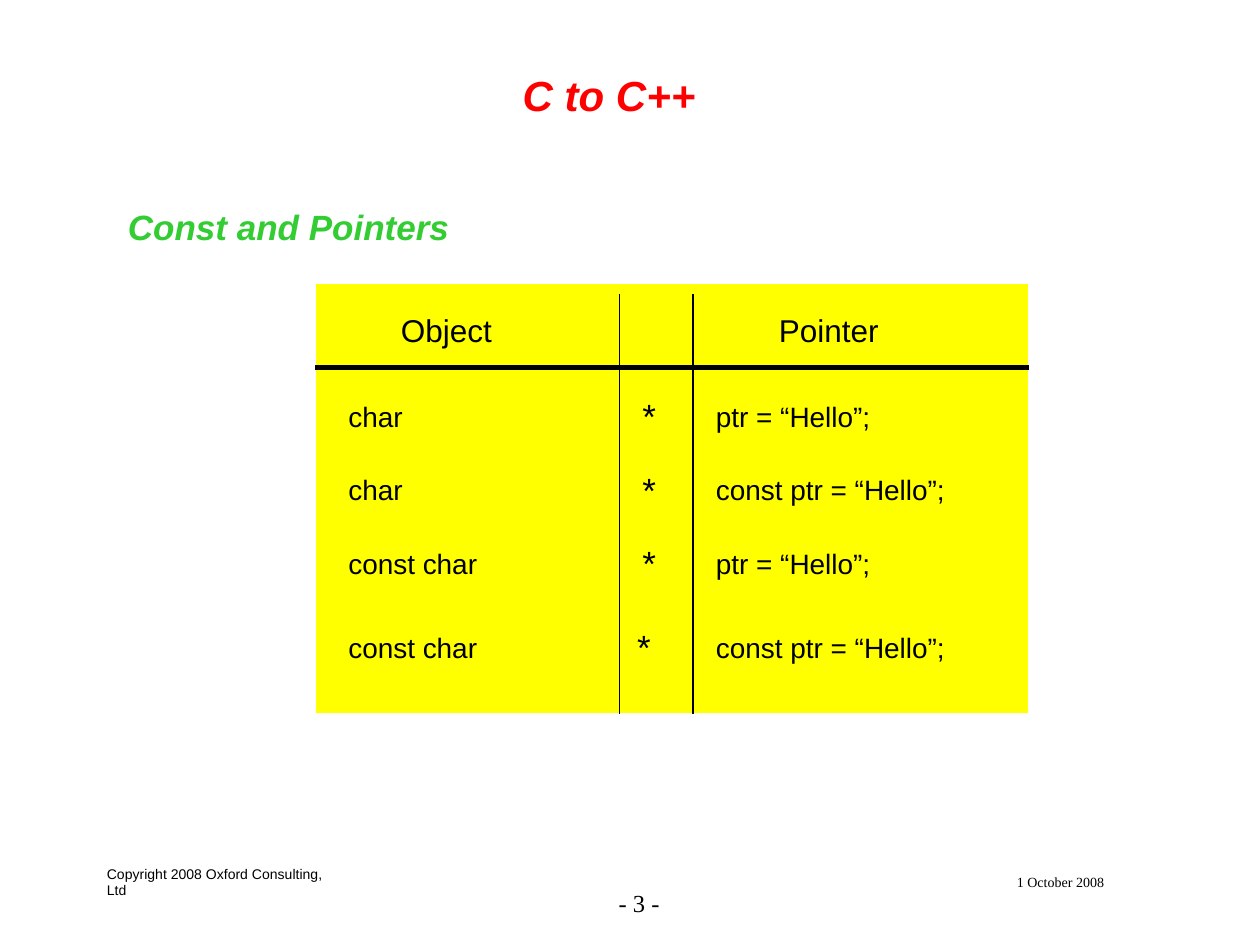
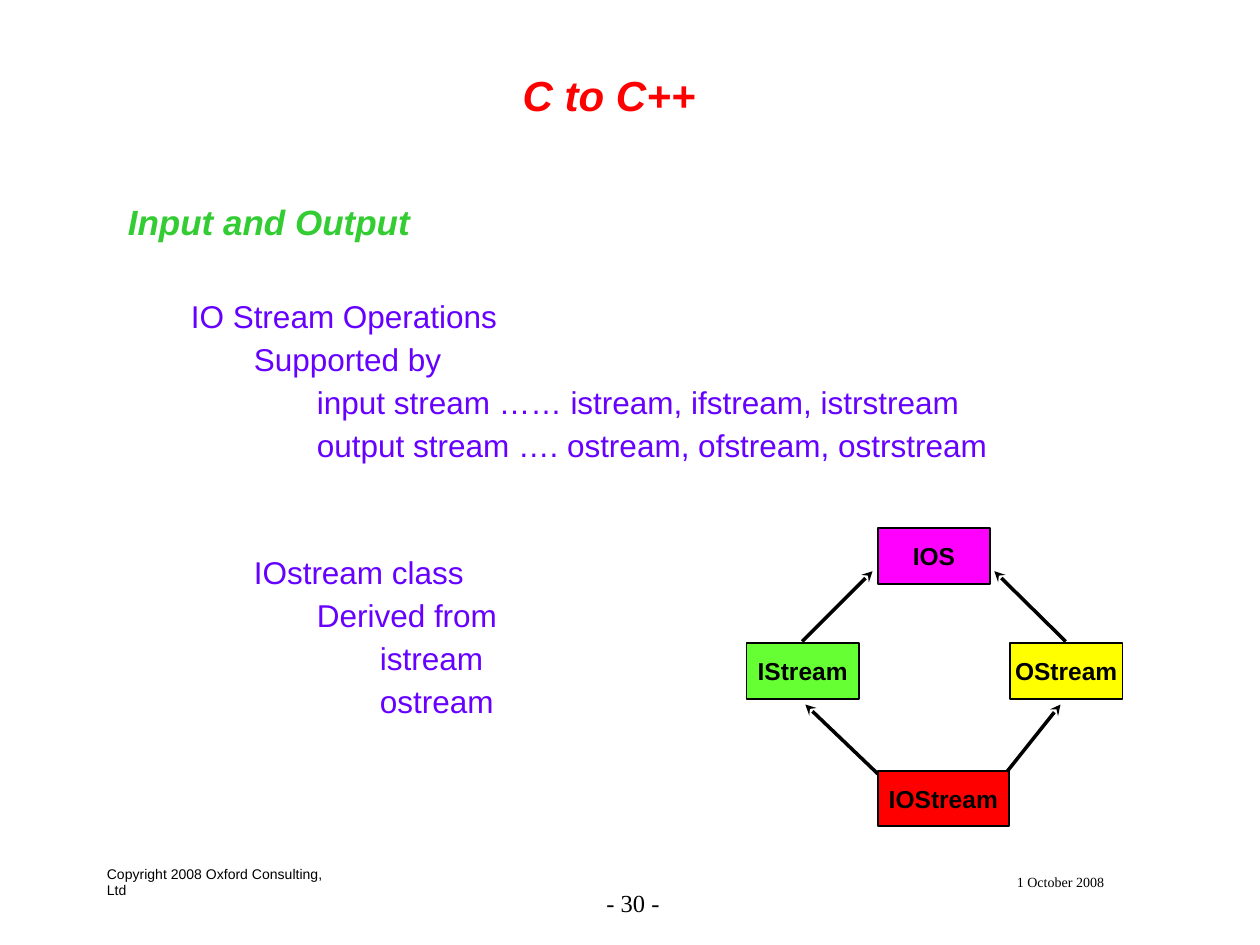
from collections import namedtuple

from lxml import etree
from pptx import Presentation, util as u
from pptx.dml.color import RGBColor
from pptx.enum import shapes, text
from pptx.oxml import ns

COLORS = {
    "title": "FF0000", "heading": "33CC33", "outline": "6600FF",
    "ink": "000000", "paper": "FFFFFF", "panel": "FFFF00",
    "ios": "FF00FF", "istream": "66FF33", "ostream": "FFFF00", "iostream": "FF0000",
}
STYLES = {
    "title": dict(size=24, name="Arial", color="title", bold=True, italic=True),
    "heading": dict(size=20, name="Arial", color="heading", bold=True, italic=True),
    "outline": dict(size=18, name="Arial", color="outline"),
    "column": dict(size=18, name="Arial", color="ink"),
    "code": dict(size=16, name="Arial", color="ink"),
    "star": dict(size=20, name="Arial", color="ink"),
    "node": dict(size=14, name="Arial", color="ink", bold=True),
    "copyright": dict(size=8, name="Arial", color="ink"),
    "date": dict(size=8, name="Times New Roman", color="ink"),
    "page": dict(size=14, name="Times New Roman", color="ink"),
}
COLUMNS, ROWS = 120, 90
CELL = u.Inches(10) // COLUMNS
LEFT, CENTER, RIGHT = text.PP_ALIGN.LEFT, text.PP_ALIGN.CENTER, text.PP_ALIGN.RIGHT
MIDDLE = text.MSO_ANCHOR.MIDDLE

Box = namedtuple("Box", "left top width height")


def cells(*counts):
    """Turn counts of grid cells into lengths."""
    return [u.Emu(round(count * CELL)) for count in counts]


def within(box, left, top, width, height):
    """Return a box placed relative to the corner of another."""
    return Box(box.left + left, box.top + top, width, height)


def rgb(color):
    """Look up a named colour."""
    return RGBColor.from_string(COLORS[color])


def format_font(font, style):
    """Apply a named text style to a font."""
    for attribute, value in STYLES[style].items():
        if attribute == "color":
            font.color.rgb = rgb(value)
        else:
            setattr(font, attribute, u.Pt(value) if attribute == "size" else value)


def format_object(target, **values):
    """Set each given attribute on a target."""
    for attribute, value in values.items():
        setattr(target, attribute, value)


def write(paragraph, words, style, **values):
    """Fill a paragraph with styled words."""
    run = paragraph.add_run()
    run.text = words
    format_font(run.font, style)
    format_object(paragraph, **values)


def add_label(slide, box, words, style, align=LEFT, **frame_values):
    """Add a text box holding one paragraph."""
    frame = slide.shapes.add_textbox(*cells(*box)).text_frame
    format_object(frame, **{"word_wrap": True, **frame_values})
    write(frame.paragraphs[0], words, style, alignment=align)
    return frame


def add_block(slide, box, fill, line):
    """Add a filled rectangle with a thin outline."""
    block = slide.shapes.add_shape(shapes.MSO_SHAPE.RECTANGLE, *cells(*box))
    block.shadow.inherit = False
    block.fill.solid()
    block.fill.fore_color.rgb = rgb(fill)
    block.line.color.rgb = rgb(line)
    block.line.width = u.Pt(1)
    return block


def add_rule(slide, box, ends, weight, arrow=False):
    """Draw a line inside a box, with an optional arrowhead at its start."""
    x1, y1, x2, y2 = ends
    rule = slide.shapes.add_connector(
        shapes.MSO_CONNECTOR.STRAIGHT,
        *cells(box.left + x1, box.top + y1, box.left + x2, box.top + y2))
    rule.line.color.rgb = rgb("ink")
    rule.line.width = u.Pt(weight)
    if arrow:
        etree.SubElement(rule.line._get_or_add_ln(), ns.qn("a:headEnd"), type="stealth")
    etree.SubElement(rule._element.spPr, ns.qn("a:effectLst"))


def add_page(deck, number):
    """Add a slide with the course title and footer."""
    slide = deck.slides.add_slide(deck.slide_layouts[5])
    title = slide.shapes.title
    left, top, width, height = cells(7, 4, 102, 8)
    format_object(title, left=left, top=top, width=width, height=height)
    format_object(title.text_frame, vertical_anchor=text.MSO_ANCHOR.BOTTOM,
                  auto_size=text.MSO_AUTO_SIZE.NONE)
    write(title.text_frame.paragraphs[0], "C to C++", "title", alignment=CENTER)

    footer = Box(9, 81, 111, 8)
    for place, words, style, align in [
        ((0, 0, 25, 6), "Copyright 2008 Oxford Consulting, Ltd", "copyright", LEFT),
        ((73, 0, 38, 6), "1 October 2008", "date", CENTER),
        ((46, 2, 9, 6), f"- {number} -", "page", RIGHT),
    ]:
        add_label(slide, within(footer, *place), words, style, align,
                  word_wrap=False, vertical_anchor=MIDDLE)
    return slide


def add_declarations(slide, box):
    """Lay out the object and pointer declarations on a ruled panel."""
    add_block(slide, box, "panel", "paper")
    add_rule(slide, box, (0, 8, box.width, 8), 3)
    for column in (29, 36):
        add_rule(slide, box, (column, 1, column, box.height), 1)
    for column, name in ((7, "Object"), (43, "Pointer")):
        add_label(slide, within(box, column, 2, 12, 5), name, "column")

    declarations = [
        (10, 30, "char", "ptr = “Hello”;"),
        (17, 30, "char", "const ptr = “Hello”;"),
        (24, 30, "const char", "ptr = “Hello”;"),
        (32, 29.5, "const char", "const ptr = “Hello”;"),
    ]
    for row, star_column, target, pointer in declarations:
        add_label(slide, within(box, 2, row + 0.45, 24, 4.5), target, "code")
        add_label(slide, within(box, star_column, row, 5, 5.3), "*", "star")
        add_label(slide, within(box, 37, row + 0.45, 27, 4.5), pointer, "code")


def add_outline(slide, box, heading, points):
    """Write a heading and its indented points in one text box."""
    frame = add_label(slide, box, heading, "heading")
    frame.paragraphs[0].line_spacing = 0.9
    for level, space, words in points:
        point = frame.add_paragraph()
        point._p.get_or_add_pPr().set("marL", str(level * u.Inches(0.5)))
        write(point, words, "outline", line_spacing=0.9, space_before=u.Pt(space))


def add_hierarchy(slide, box):
    """Draw the stream classes and their inheritance arrows."""
    for column, row, width, name in [
        (12.5, 0, 10.7, "IOS"),
        (25.1, 10.95, 10.7, "OStream"),
        (0, 10.95, 10.7, "IStream"),
        (12.5, 23.1, 12.5, "IOStream"),
    ]:
        node = add_block(slide, within(box, column, row, width, 5.3), name.lower(), "ink")
        format_object(node.text_frame, word_wrap=False, vertical_anchor=MIDDLE,
                      margin_left=0, margin_right=0)
        write(node.text_frame.paragraphs[0], name, "node", alignment=CENTER)
    for ends in [
        (12, 4.1, 5.3, 10.8),
        (23.6, 4.1, 30.4, 10.8),
        (5.6, 16.8, 12.5, 23.4),
        (29.9, 16.8, 24.8, 23.2),
    ]:
        add_rule(slide, box, ends, 2, arrow=True)


def main():
    """Build the two slides and save them."""
    deck = Presentation()
    deck.slide_width, deck.slide_height = cells(COLUMNS, ROWS)

    pointers = add_page(deck, 3)
    add_declarations(pointers, Box(30, 27, 68, 41))
    add_label(pointers, Box(11, 19, 101, 6), "Const and Pointers", "heading")

    streams = add_page(deck, 30)
    add_outline(streams, Box(11, 19, 102, 63), "Input and Output", [
        (1, 33, "IO Stream Operations"),
        (2, 5.2, "Supported by"),
        (3, 5.2, "input stream …… istream, ifstream, istrstream"),
        (3, 5.2, "output stream …. ostream, ofstream, ostrstream"),
        (2, 53, "IOstream class"),
        (3, 5.2, "Derived from"),
        (4, 5.2, "istream"),
        (4, 5.2, "ostream"),
    ])
    add_hierarchy(streams, Box(71.1, 50.3, 35.8, 28.4))

    deck.save("out.pptx")


if __name__ == "__main__":
    main()
